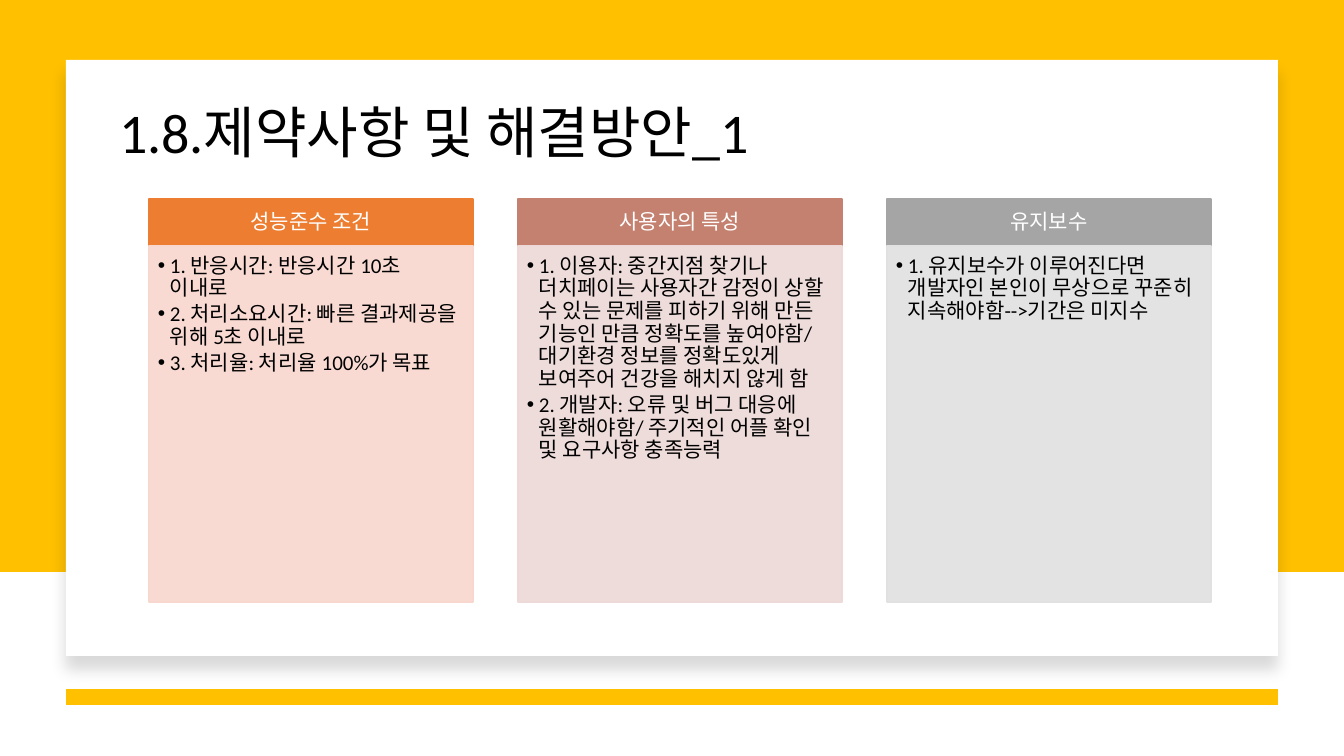
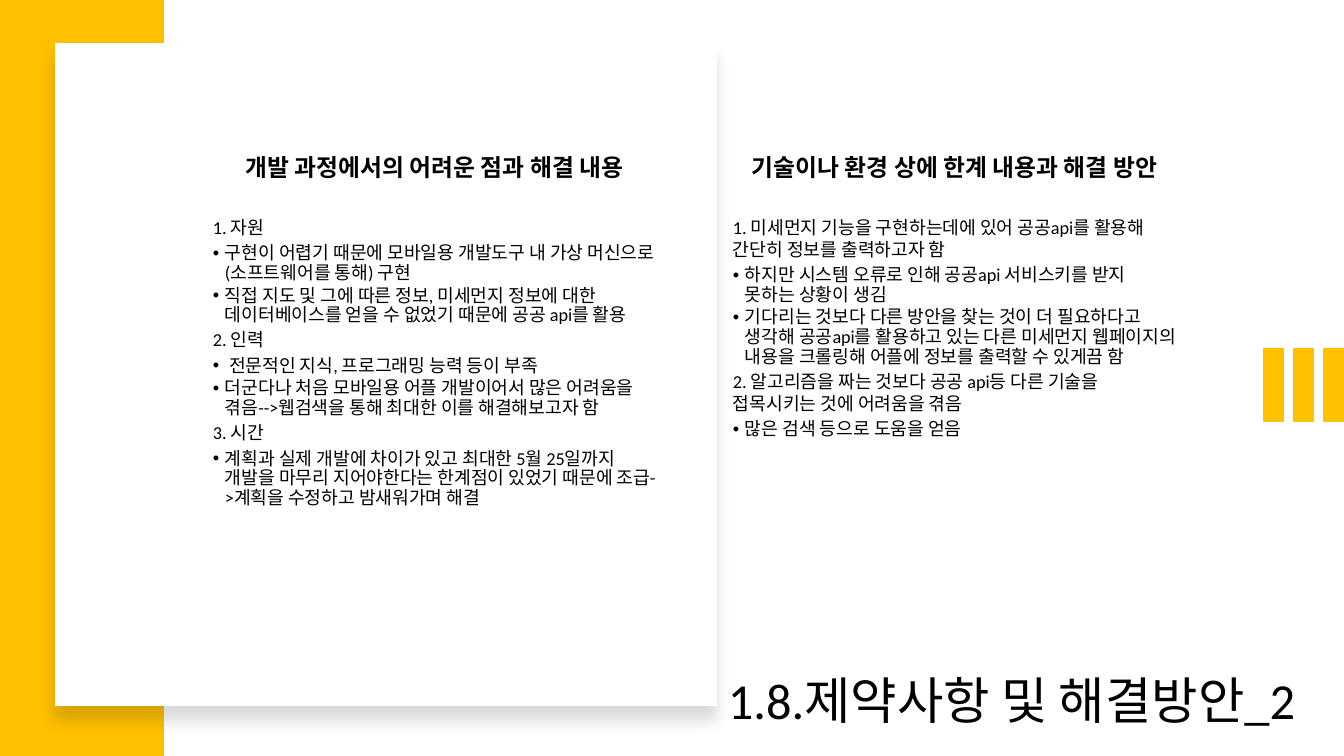
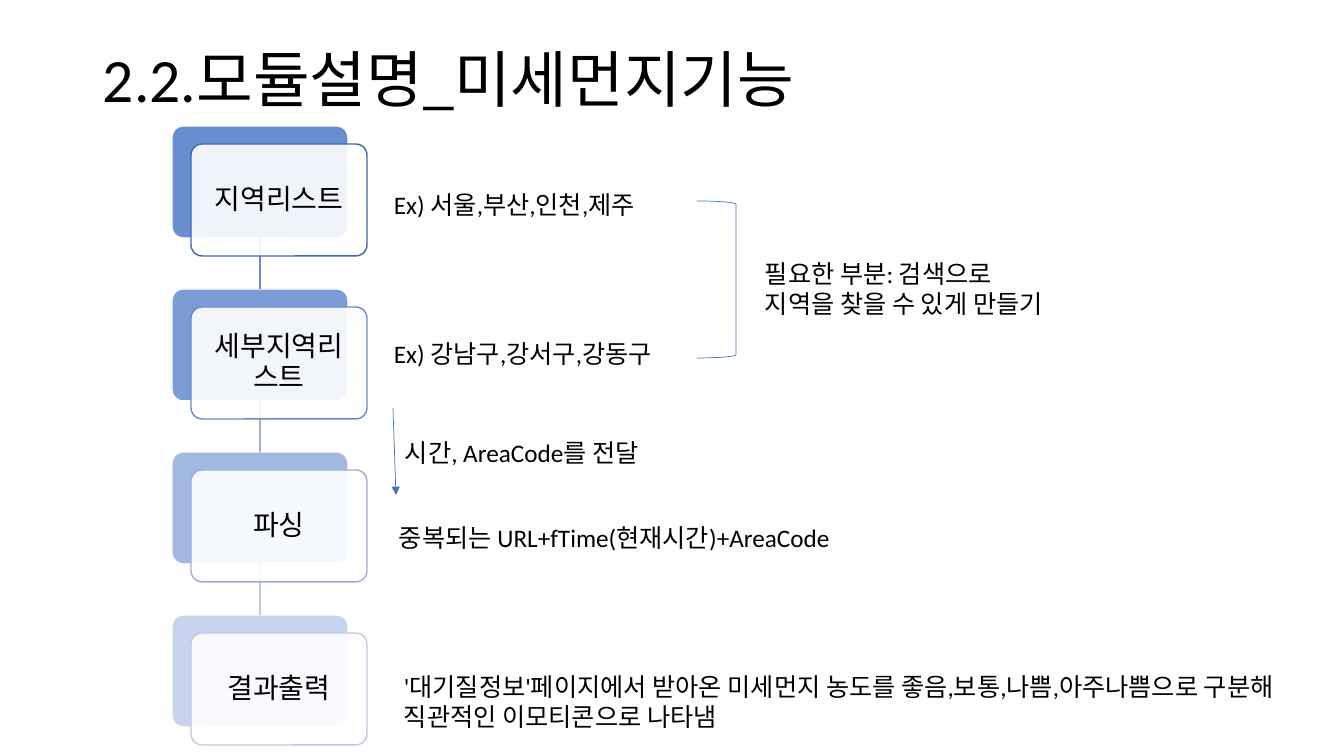
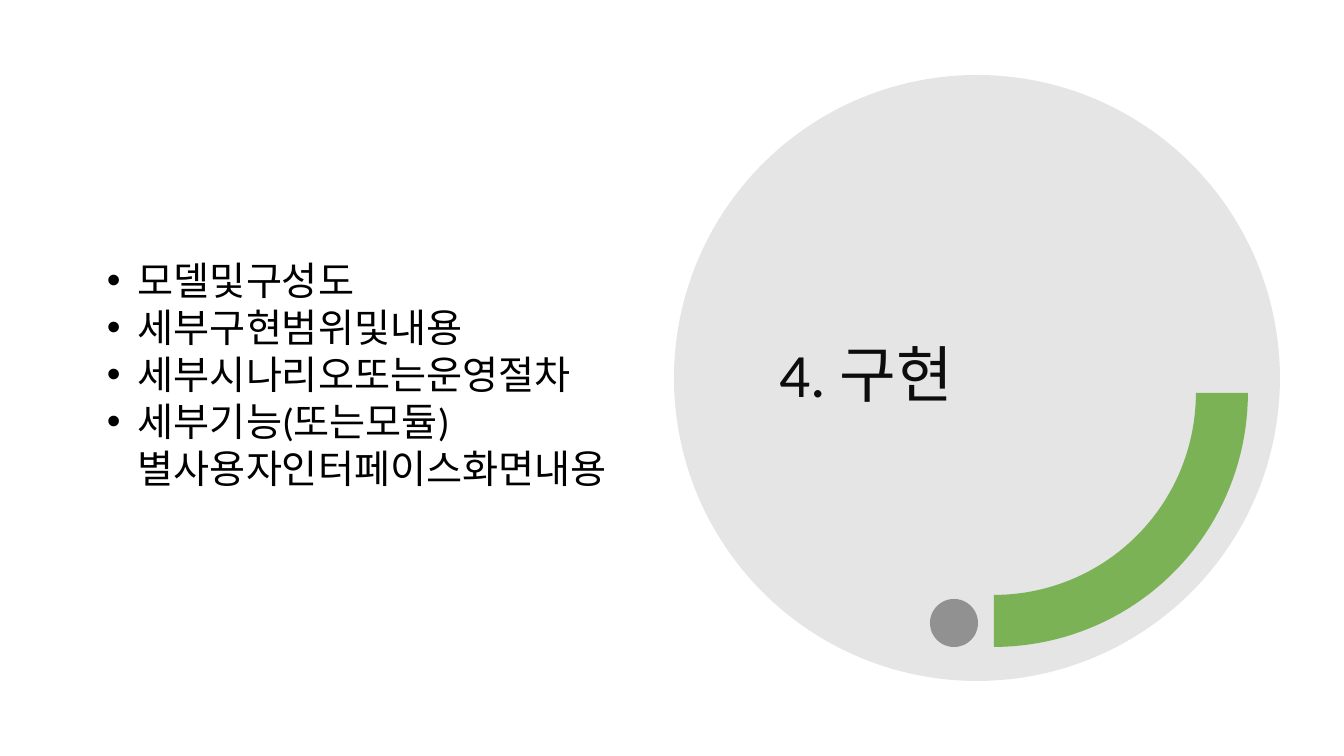
import math

from lxml import etree
from pptx import Presentation
from pptx.dml.color import RGBColor
from pptx.enum.shapes import MSO_CONNECTOR, MSO_SHAPE
from pptx.enum.text import MSO_ANCHOR, PP_ALIGN
from pptx.oxml.ns import qn
from pptx.util import Emu, Pt

RECTANGLE, ROUNDED = MSO_SHAPE.RECTANGLE, MSO_SHAPE.ROUNDED_RECTANGLE
OVAL, BRACKET = MSO_SHAPE.OVAL, MSO_SHAPE.RIGHT_BRACKET
STRAIGHT = MSO_CONNECTOR.STRAIGHT
TOP, MIDDLE = MSO_ANCHOR.TOP, MSO_ANCHOR.MIDDLE
LEFT, CENTER = PP_ALIGN.LEFT, PP_ALIGN.CENTER

FONT = "Calibri"
WIDTH, HEIGHT = 1344, 756
SCALE = 914400 / 100.8
INSETS = (10, 5, 10, 5)

BLACK = RGBColor(0x00, 0x00, 0x00)
INK = RGBColor(0x0D, 0x0D, 0x0D)
WHITE = RGBColor(0xFF, 0xFF, 0xFF)
YELLOW = RGBColor(0xFF, 0xC0, 0x00)
ORANGE = RGBColor(0xED, 0x7D, 0x31)
PEACH = RGBColor(0xF8, 0xD7, 0xCE)
CLAY = RGBColor(0xC4, 0x81, 0x70)
ROSE = RGBColor(0xED, 0xD9, 0xD7)
GRAY = RGBColor(0xA5, 0xA5, 0xA5)
SILVER = RGBColor(0xE1, 0xE1, 0xE1)
BLUE = RGBColor(0x44, 0x72, 0xC4)
DISC_GRAY = RGBColor(0x80, 0x80, 0x80)
DOT_GRAY = RGBColor(0x59, 0x59, 0x59)
GREEN = RGBColor(0x70, 0xAD, 0x47)

CONDITIONS = [
    ("성능준수 조건", ORANGE, PEACH, [
        "1. 반응시간: 반응시간 10초 이내로",
        "2. 처리소요시간: 빠른 결과제공을 위해 5초 이내로",
        "3. 처리율: 처리율 100%가 목표",
    ]),
    ("사용자의 특성", CLAY, ROSE, [
        "1. 이용자: 중간지점 찾기나 더치페이는 사용자간 감정이 상할 수 있는 문제를 피하기 위해 만든 "
        "기능인 만큼 정확도를 높여야함/ 대기환경 정보를 정확도있게 보여주어 건강을 해치지 않게 함",
        "2. 개발자: 오류 및 버그 대응에 원활해야함/ 주기적인 어플 확인 및 요구사항 충족능력",
    ]),
    ("유지보수", GRAY, SILVER, [
        "1. 유지보수가 이루어진다면 개발자인 본인이 무상으로 꾸준히 지속해야함-->기간은 미지수",
    ]),
]

LIMITS = [
    ("개발 과정에서의 어려운 점과 해결 내용", [
        ("1. 자원", [
            "구현이 어렵기 때문에 모바일용 개발도구 내 가상 머신으로(소프트웨어를 통해) 구현",
            "직접 지도 및 그에 따른 정보, 미세먼지 정보에 대한 데이터베이스를 얻을 수 없었기 때문에 공공 api를 활용",
        ]),
        ("2. 인력", [
            " 전문적인 지식, 프로그래밍 능력 등이 부족",
            "더군다나 처음 모바일용 어플 개발이어서 많은 어려움을 겪음-->웹검색을 통해 최대한 이를 해결해보고자 함",
        ]),
        ("3. 시간", [
            "계획과 실제 개발에 차이가 있고 최대한 5월 25일까지 개발을 마무리 지어야한다는 한계점이 "
            "있었기 때문에 조급->계획을 수정하고 밤새워가며 해결",
        ]),
    ]),
    ("기술이나 환경 상에 한계 내용과 해결 방안", [
        ("1. 미세먼지 기능을 구현하는데에 있어 공공api를 활용해 간단히 정보를 출력하고자 함", [
            "하지만 시스템 오류로 인해 공공api 서비스키를 받지 못하는 상황이 생김",
            "기다리는 것보다 다른 방안을 찾는 것이 더 필요하다고 생각해 공공api를 활용하고 있는 "
            "다른 미세먼지 웹페이지의 내용을 크롤링해 어플에 정보를 출력할 수 있게끔 함",
        ]),
        ("2. 알고리즘을 짜는 것보다 공공 api등 다른 기술을 접목시키는 것에 어려움을 겪음", [
            "많은 검색 등으로 도움을 얻음",
        ]),
    ]),
]

STEPS = [
    ("지역리스트", 80, RGBColor(0x3E, 0x67, 0xB2)),
    ("세부지역리스트", 70, RGBColor(0x6D, 0x89, 0xCB)),
    ("파싱", 50, RGBColor(0x9E, 0xAD, 0xD8)),
    ("결과출력", 30, RGBColor(0xC1, 0xC9, 0xE4)),
]

REMARKS = [
    ((384, 184, 302, 40), "Ex) 서울,부산,인천,제주"),
    ((384, 333, 302, 40), "Ex) 강남구,강서구,강동구"),
    ((395, 432, 302, 40), "시간, AreaCode를 전달"),
    ((389, 517, 523, 40), "중복되는 URL+fTime(현재시간)+AreaCode"),
    ((394, 666, 898, 72),
     "'대기질정보'페이지에서 받아온 미세먼지 농도를 좋음,보통,나쁨,아주나쁨으로 구분해 직관적인 이모티콘으로 나타냄"),
    ((755, 253, 302, 72), "필요한 부분: 검색으로 지역을 찾을 수 있게 만들기"),
]

TOPICS = [
    "모델및구성도",
    "세부구현범위및내용",
    "세부시나리오또는운영절차",
    "세부기능(또는모듈)별사용자인터페이스화면내용",
]


def px(length):
    return Emu(round(length * SCALE))


def set_alpha(fill_parent, percent):
    color = fill_parent.find(".//" + qn("a:srgbClr"))
    etree.SubElement(color, qn("a:alpha"), val=str(percent * 1000))


def paint(shape, fill=None, line=None, weight=1, alpha=100):
    shape.shadow.inherit = False
    if fill is None:
        shape.fill.background()
    else:
        shape.fill.solid()
        shape.fill.fore_color.rgb = fill
        if alpha < 100:
            set_alpha(shape.fill._xPr.find(qn("a:solidFill")), alpha)
    if line is None:
        shape.line.fill.background()
    else:
        shape.line.color.rgb = line
        shape.line.width = Pt(weight)
    return shape


def add_block(page, kind, at, **look):
    return paint(page.shapes.add_shape(kind, *map(px, at)), **look)


def add_panel(page, at):
    panel = add_block(page, RECTANGLE, at, fill=WHITE)
    effects = panel._element.spPr.find(qn("a:effectLst"))
    shadow = etree.SubElement(effects, qn("a:outerShdw"), blurRad=str(Pt(11)),
                              dist=str(Pt(10)), dir="5400000", rotWithShape="0")
    etree.SubElement(shadow, qn("a:srgbClr"), val="000000")
    set_alpha(shadow, 15)


def add_line(page, start, end, color, weight):
    line = page.shapes.add_connector(STRAIGHT, *map(px, start + end))
    line.line.color.rgb = color
    line.line.width = Pt(weight)
    etree.SubElement(line._element.spPr, qn("a:effectLst"))
    return line


def set_bullet(para, indent):
    properties = para._p.get_or_add_pPr()
    properties.set("marL", str(px(indent)))
    properties.set("indent", str(-px(indent)))
    etree.SubElement(properties, qn("a:buFont"), typeface="Arial")
    etree.SubElement(properties, qn("a:buChar"), char="•")


def set_frame(box, insets=INSETS, anchor=TOP):
    frame = box.text_frame
    frame.word_wrap = True
    frame.vertical_anchor = anchor
    frame.margin_left, frame.margin_top, frame.margin_right, frame.margin_bottom = map(px, insets)
    return frame


def add_para(frame, text, size, color=BLACK, bold=False, align=LEFT, spacing=1.0, after=0, bullet=0):
    para = frame.paragraphs[0]
    if para.runs:
        para = frame.add_paragraph()
    para.alignment = align
    para.line_spacing = spacing
    para.space_after = Pt(round(size * after, 2))
    if bullet:
        set_bullet(para, bullet)
    span = para.add_run()
    span.text = text
    span.font.name = FONT
    span.font.size = Pt(size)
    span.font.bold = bold
    span.font.color.rgb = color


def add_text(page, at, insets=INSETS, anchor=TOP):
    return set_frame(page.shapes.add_textbox(*map(px, at)), insets, anchor)


def add_title(page, at, text, size, insets=INSETS, color=BLACK):
    add_para(add_text(page, at, insets, MIDDLE), text, size, color, spacing=0.9)


def build_conditions(page):
    add_block(page, RECTANGLE, (0, 0, WIDTH, 572), fill=YELLOW)
    add_panel(page, (66, 60, 1212, 596))
    add_line(page, (66, 697), (1278, 697), YELLOW, 12)
    add_title(page, (59, 5, 844, 224), "1.8.제약사항 및 해결방안_1", 40, (60, 41, 10, 5))
    for index, (name, strong, pale, items) in enumerate(CONDITIONS):
        left = 149 + index * 369
        head = add_block(page, RECTANGLE, (left, 199, 324, 47), fill=strong, line=strong)
        add_para(set_frame(head, (12, 7, 12, 7), MIDDLE), name, 15, WHITE, align=CENTER, spacing=0.9)
        body = add_block(page, RECTANGLE, (left, 246, 324, 356), fill=pale, line=pale, alpha=90)
        frame = set_frame(body, (9, 9, 12, 13))
        for item in items:
            add_para(frame, item, 15, spacing=0.9, after=0.15, bullet=12)


def build_limits(page):
    add_block(page, RECTANGLE, (0, 0, 164, HEIGHT), fill=YELLOW)
    add_panel(page, (55, 43, 662, 663))
    for index in range(3):
        add_block(page, RECTANGLE, (1263 + index * 30, 348, 21, 74), fill=YELLOW)
    add_title(page, (693, 667, 651, 89), "1.8.제약사항 및 해결방안_2", 36, (35, 0, 0, 16))
    for index, (name, groups) in enumerate(LIMITS):
        left = 213 + index * 520
        head = add_text(page, (left, 153, 443, 53), (0, 0, 0, 0))
        add_para(head, name, 17, bold=True, align=CENTER)
        body = add_text(page, (left, 216, 443, 372), (0, 0, 0, 0))
        for lead, items in groups:
            add_para(body, lead, 13, after=0.35)
            for item in items:
                add_para(body, item, 13, spacing=0.9, after=0.15, bullet=12)


def build_module(page):
    add_title(page, (93, 10, 1159, 146), "2.2.모듈설명_미세먼지기능", 44)
    card_left, card_top, card_width, card_height = 172, 126, 176, 112
    step, offset = 163, 18
    backs = []
    for index, (name, alpha, edge) in enumerate(STEPS):
        back = add_block(page, ROUNDED, (card_left, card_top + index * step, card_width, card_height),
                         fill=BLUE, line=WHITE, alpha=alpha)
        back.adjustments[0] = 0.1
        backs.append(back)
    for index, (upper, lower) in enumerate(zip(backs, backs[1:])):
        link = add_line(page, (0, 0), (0, 0), STEPS[index + 1][2], 1)
        link.begin_connect(upper, 2)
        link.end_connect(lower, 0)
    for index, (name, alpha, edge) in enumerate(STEPS):
        at = (card_left + offset + 1, card_top + offset + index * step, card_width, card_height)
        card = add_block(page, ROUNDED, at, fill=WHITE, line=edge, alpha=90)
        card.adjustments[0] = 0.1
        add_para(set_frame(card, (9, 8, 9, 8), MIDDLE), name, 20, align=CENTER, spacing=0.9)
    for at, text in REMARKS:
        add_para(add_text(page, at), text, 18)
    arrow = add_line(page, (393, 408), (396, 495), BLUE, 0.5)
    etree.SubElement(arrow.line._get_or_add_ln(), qn("a:tailEnd"), type="triangle")
    add_block(page, BRACKET, (697, 201, 39, 157), line=BLUE, weight=0.5)


def build_section(page):
    add_block(page, OVAL, (674, 75, 606, 606), fill=DISC_GRAY, alpha=20)
    add_block(page, OVAL, (930, 599, 48, 48), fill=DOT_GRAY, alpha=60)
    center_x, center_y, outer, inner = 994, 393, 254, 202
    angles = [math.radians(degree) for degree in range(0, 91, 2)]
    rim = [(radius, angle) for radius, turn in ((outer, 1), (inner, -1)) for angle in angles[::turn]]
    points = [(round((center_x + radius * math.cos(angle)) * SCALE),
               round((center_y + radius * math.sin(angle)) * SCALE)) for radius, angle in rim]
    builder = page.shapes.build_freeform(*points[0])
    builder.add_line_segments(points[1:], close=True)
    paint(builder.convert_to_shape(), fill=GREEN, alpha=90)
    add_title(page, (769, 158, 448, 440), "4. 구현", 44, color=INK)
    frame = add_text(page, (97, 251, 523, 248))
    for topic in TOPICS:
        add_para(frame, topic, 28, bullet=31)


def main():
    deck = Presentation()
    deck.slide_width, deck.slide_height = px(WIDTH), px(HEIGHT)
    for build in (build_conditions, build_limits, build_module, build_section):
        build(deck.slides.add_slide(deck.slide_layouts[6]))
    deck.save("out.pptx")


if __name__ == "__main__":
    main()
